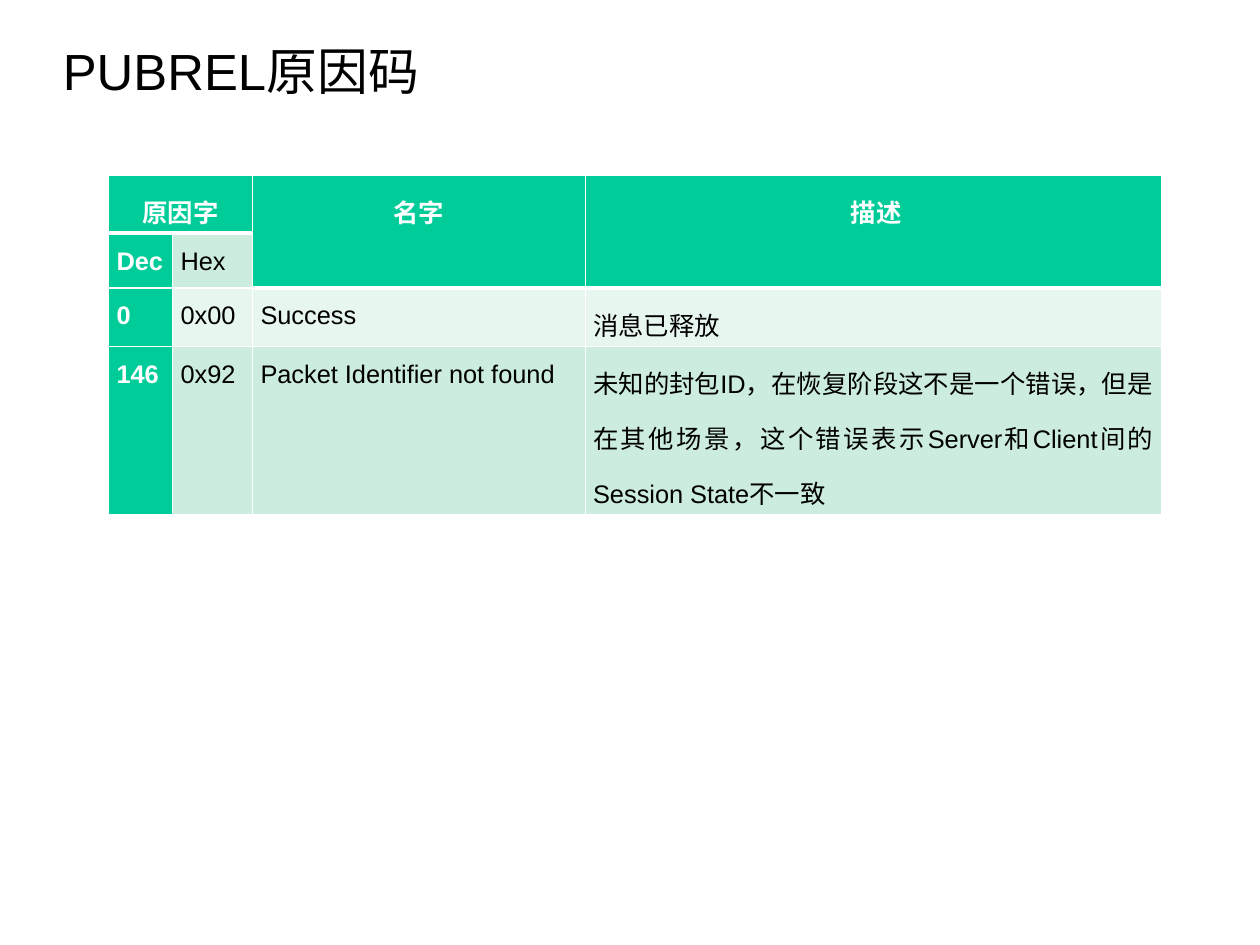
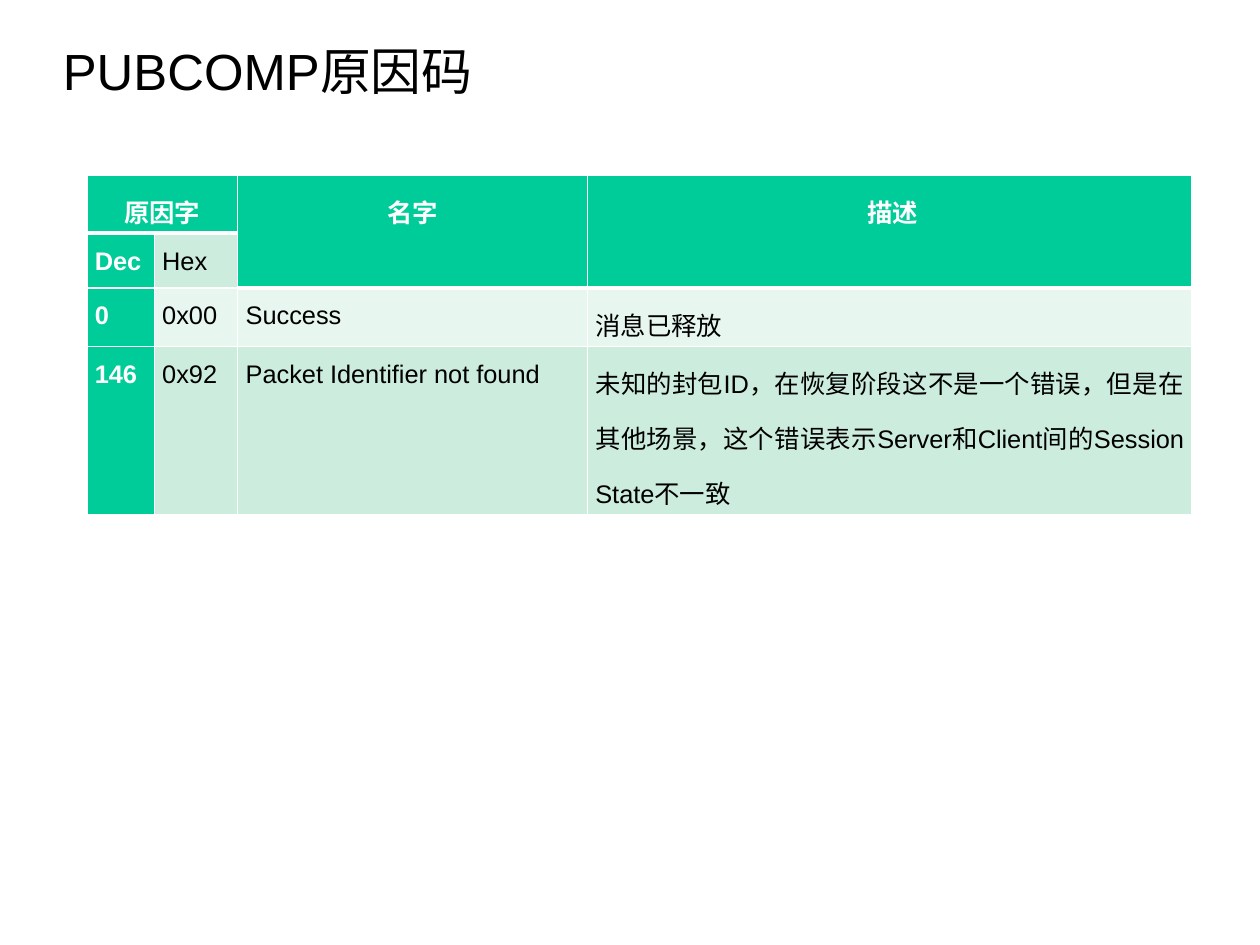
from pptx import Presentation
from pptx import util as u
from pptx.dml.color import RGBColor
from pptx.enum import text
from pptx.oxml import parse_xml
from pptx.oxml.ns import nsdecls

COLORS = {"ink": "000000", "paper": "FFFFFF", "header": "00CC99",
          "band_dark": "CCECDE", "band_light": "E7F6EF"}
FONT = "Arial"
TABLE_TOP = 1.53
ROW_HEIGHTS = [0.51, 0.47, 0.51, 1.47]
HEADER_DEPTHS = [1, 1, 2, 2]  # header rows in each column
MERGES = [((0, 0), (0, 1)), ((0, 2), (1, 2)), ((0, 3), (1, 3))]
REASON_ROWS = [
    ["原因字", "", "名字", " 描述"],
    ["Dec", "Hex", "", ""],
    ["0", "0x00", "Success", "消息已释放"],
    ["146", "0x92", "Packet Identifier not found",
     "未知的封包ID，在恢复阶段这不是一个错误，但是在其他场景，"
     "这个错误表示Server和Client间的Session State不一致"],
]
SLIDES = [
    ("PUBREL原因码", 0.95, [0.56, 0.7, 2.91, 5.04]),
    ("PUBCOMP原因码", 0.76, [0.59, 0.73, 3.06, 5.29]),
]


def set_attributes(target, values):
    for name, value in values.items():
        setattr(target, name, value)


def write_text(frame, wording, size, color, bold, align, spacing):
    paragraph = frame.paragraphs[0]
    set_attributes(paragraph, {"alignment": align, "line_spacing": spacing})
    run = paragraph.add_run()
    run.text = wording
    set_attributes(run.font, {"name": FONT, "size": u.Pt(size), "bold": bold})
    run.font.color.rgb = RGBColor.from_string(COLORS[color])


def add_title(slide, wording):
    title = slide.shapes.title
    set_attributes(title, {"left": u.Inches(0.55), "top": u.Inches(0.19),
                           "width": u.Inches(9.92), "height": u.Inches(0.87)})
    set_attributes(title.text_frame, {
        "margin_left": 0, "margin_top": u.Inches(0.03),
        "margin_right": 0, "margin_bottom": 0, "word_wrap": True,
        "auto_size": text.MSO_AUTO_SIZE.NONE,
        "vertical_anchor": text.MSO_ANCHOR.MIDDLE})
    write_text(title.text_frame, wording, 32, "ink", False, text.PP_ALIGN.LEFT, 0.93)


def set_borders(cell, top, bottom):
    """Draw white cell edges; top and bottom are line widths in points."""
    properties = cell._tc.get_or_add_tcPr()
    widths = {"lnL": 1, "lnR": 1, "lnT": top, "lnB": bottom}
    for position, (edge, width) in enumerate(widths.items()):
        properties.insert(position, parse_xml(
            f'<a:{edge} {nsdecls("a")} w="{u.Pt(width)}"><a:solidFill>'
            f'<a:srgbClr val="{COLORS["paper"]}"/></a:solidFill></a:{edge}>'))


def format_cell(cell, row, column, wording):
    depth = HEADER_DEPTHS[column]
    in_header = row < depth
    emphasized = in_header or column == 0
    band = "band_dark" if row % 2 else "band_light"
    set_attributes(cell, {"margin_left": u.Inches(0.07), "margin_right": u.Inches(0.07),
                          "margin_top": 0, "margin_bottom": 0})
    cell.fill.solid()
    cell.fill.fore_color.rgb = RGBColor.from_string(COLORS["header" if emphasized else band])
    set_borders(cell, 3 if row == depth else 1, 3 if in_header else 1)
    if wording:
        align = text.PP_ALIGN.CENTER if in_header else text.PP_ALIGN.JUSTIFY
        write_text(cell.text_frame, wording, 16, "paper" if emphasized else "ink",
                   emphasized, align, 1.5)


def add_reason_table(slide, left, column_widths):
    table = slide.shapes.add_table(
        len(ROW_HEIGHTS), len(column_widths), u.Inches(left), u.Inches(TABLE_TOP),
        u.Inches(sum(column_widths)), u.Inches(sum(ROW_HEIGHTS))).table
    set_attributes(table, {"first_row": False, "horz_banding": False})
    for column, width in zip(table.columns, column_widths):
        column.width = u.Inches(width)
    for row, height in zip(table.rows, ROW_HEIGHTS):
        row.height = u.Inches(height)
    for start, end in MERGES:
        table.cell(*start).merge(table.cell(*end))
    for row, wordings in enumerate(REASON_ROWS):
        for column, wording in enumerate(wordings):
            format_cell(table.cell(row, column), row, column, wording)


def main():
    deck = Presentation()
    deck.slide_width = u.Cm(28)
    deck.slide_height = u.Cm(21)
    title_only = deck.slide_layouts[5]
    for title, table_left, column_widths in SLIDES:
        slide = deck.slides.add_slide(title_only)
        add_title(slide, title)
        add_reason_table(slide, table_left, column_widths)
    deck.save("out.pptx")


if __name__ == "__main__":
    main()
